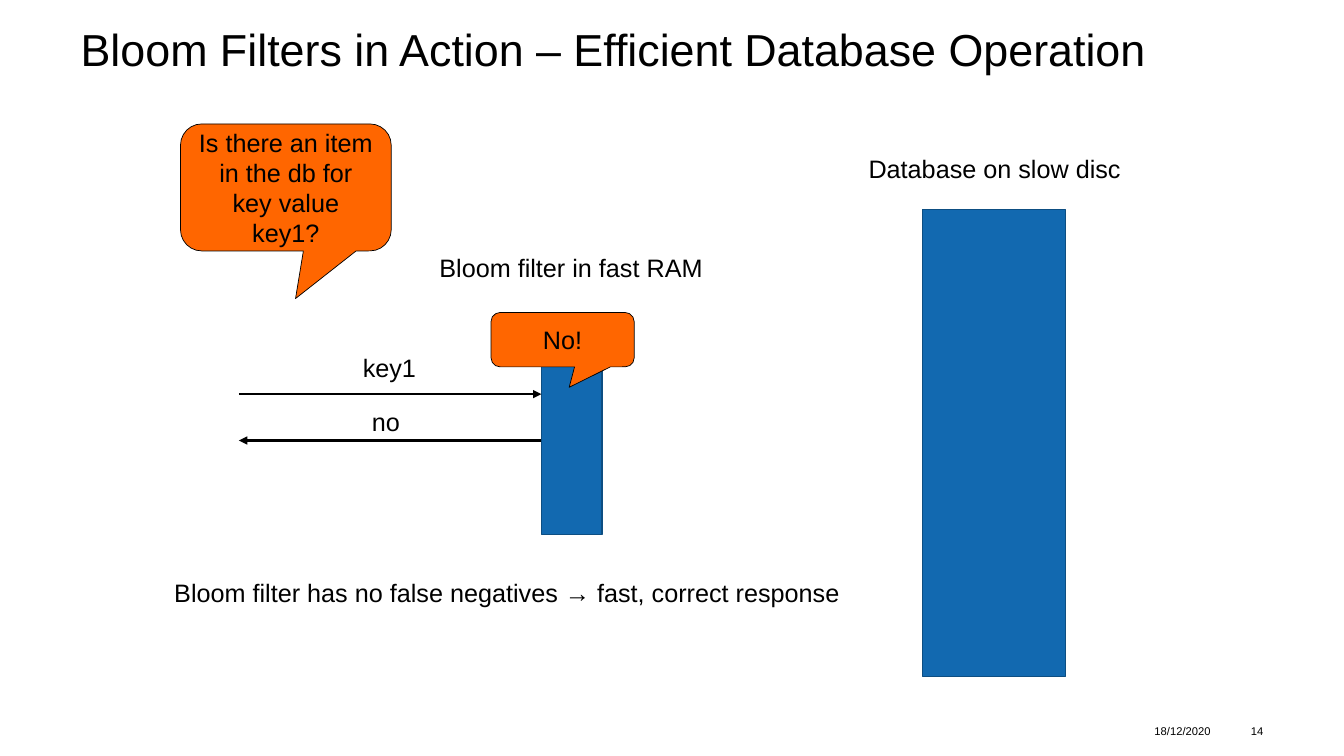
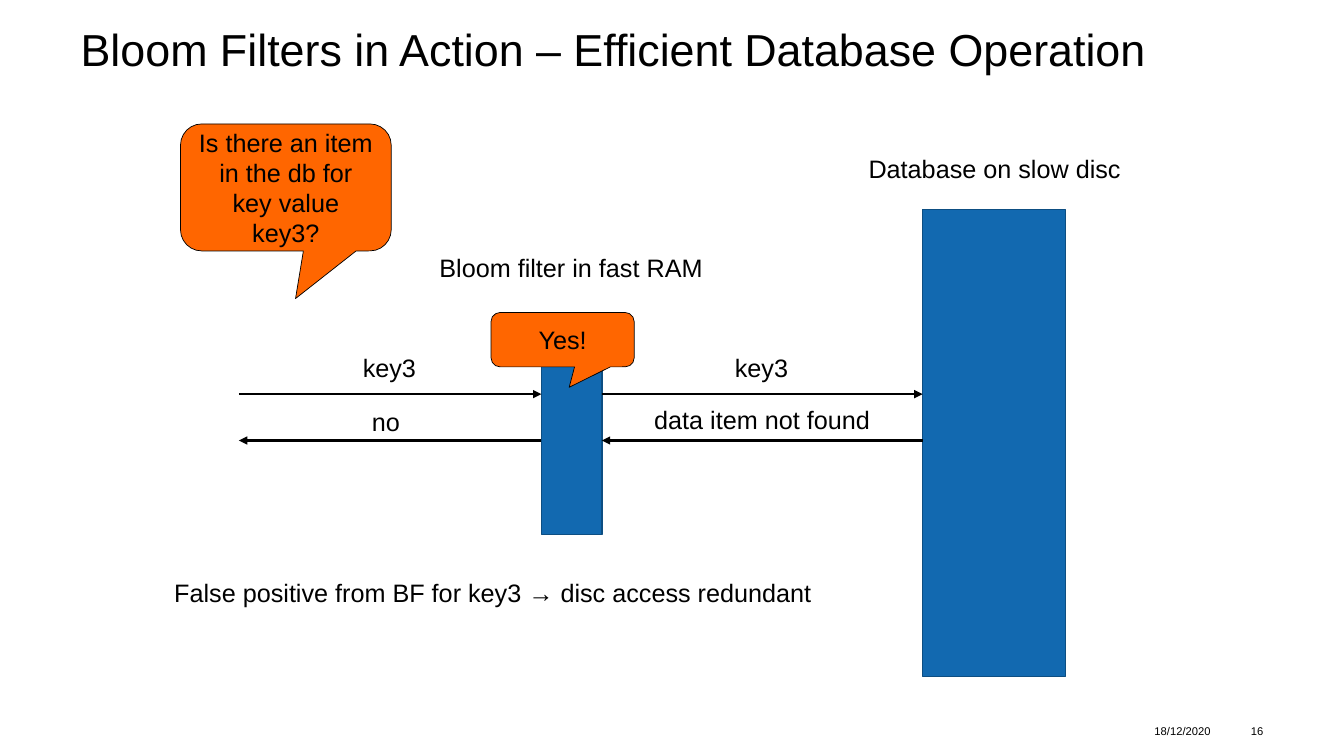
from pptx import Presentation
from pptx.dml.color import RGBColor
from pptx.enum.shapes import MSO_CONNECTOR, MSO_SHAPE
from pptx.enum.text import MSO_ANCHOR, PP_ALIGN
from pptx.oxml.ns import qn
from pptx.util import Inches, Pt
from lxml.etree import SubElement

BLACK = RGBColor(0x00, 0x00, 0x00)
BLUE = RGBColor(0x12, 0x69, 0xB0)
DARK_BLUE = RGBColor(0x0D, 0x4E, 0x82)
ORANGE = RGBColor(0xFF, 0x66, 0x00)
FONT = "Arial"
TITLE = "Bloom Filters in Action – Efficient Database Operation"
DATE = "18/12/2020"

# Horizontal stops and rows of the message flow
CLIENT, FILTER_LEFT, FILTER_RIGHT, DATABASE_LEFT = 2.37, 5.37, 5.97, 9.15
REQUEST, REPLY = 3.91, 4.37


class LectureDeck:
    """Holds the shared style and the slide being built."""

    def __init__(self):
        self.deck = Presentation()
        self.deck.slide_width = Inches(13.33)
        self.deck.slide_height = Inches(7.5)
        self.page = None

    def add_page(self, number):
        self.page = self.deck.slides.add_slide(self.deck.slide_layouts[6])
        title = self.text(TITLE, 0.8, 0.28, 11.73, 0.98, size=32, inset=0, wrap=True)
        title.text_frame.paragraphs[0].line_spacing = 0.9
        footer = dict(size=8, inset=0, anchor=MSO_ANCHOR.MIDDLE)
        self.text(DATE, 11.45, 7.13, 0.67, 0.24, **footer)
        self.text(str(number), 12.18, 7.13, 0.35, 0.24, align=PP_ALIGN.RIGHT, **footer)

    def set_text(self, box, words, size=18, align=PP_ALIGN.LEFT, wrap=False,
                 anchor=MSO_ANCHOR.TOP):
        frame = box.text_frame
        frame.word_wrap = wrap
        frame.vertical_anchor = anchor
        para = frame.paragraphs[0]
        para.text = words
        para.alignment = align
        para.font.name = FONT
        para.font.size = Pt(size)
        para.font.color.rgb = BLACK

    def text(self, words, left, top, width, height=0.4, inset=None, **style):
        box = self.page.shapes.add_textbox(
            Inches(left), Inches(top), Inches(width), Inches(height))
        if inset is not None:
            frame = box.text_frame
            frame.margin_left = frame.margin_right = Inches(inset)
            frame.margin_top = frame.margin_bottom = Inches(inset)
        self.set_text(box, words, **style)
        return box

    def shape(self, kind, left, top, width, height, fill, outline, weight):
        shape = self.page.shapes.add_shape(
            kind, Inches(left), Inches(top), Inches(width), Inches(height))
        shape.shadow.inherit = False
        shape.fill.solid()
        shape.fill.fore_color.rgb = fill
        shape.line.color.rgb = outline
        shape.line.width = Pt(weight)
        return shape

    def store(self, left, top, width, height):
        self.shape(MSO_SHAPE.RECTANGLE, left, top, width, height, BLUE, DARK_BLUE, 1)

    def callout(self, words, left, top, width, height):
        bubble = self.shape(MSO_SHAPE.ROUNDED_RECTANGULAR_CALLOUT,
                            left, top, width, height, ORANGE, BLACK, 0.5)
        for index, value in enumerate((0.046, 0.875, 0.167)):
            bubble.adjustments[index] = value
        self.set_text(bubble, words, align=PP_ALIGN.CENTER, wrap=True,
                      anchor=MSO_ANCHOR.MIDDLE)

    def arrow(self, start, end, height):
        arrow = self.page.shapes.add_connector(
            MSO_CONNECTOR.STRAIGHT, Inches(start), Inches(height),
            Inches(end), Inches(height))
        arrow.line.color.rgb = BLACK
        arrow.line.width = Pt(1.75)
        properties = arrow._element.spPr
        SubElement(properties.find(qn("a:ln")), qn("a:tailEnd"), type="triangle")
        SubElement(properties, qn("a:effectLst"))

    def lookup(self, number, key, answer, conclusion, conclusion_width):
        """The scene on every slide: client, filter, database and first exchange."""
        self.add_page(number)

        # Filter and database
        self.store(FILTER_LEFT, 3.11, FILTER_RIGHT - FILTER_LEFT, 2.19)
        self.store(DATABASE_LEFT, 2.08, 1.42, 4.63)
        self.text("Bloom filter in fast RAM", 4.26, 2.45, 2.84)
        self.text("Database on slow disc", 8.5, 1.47, 2.73, align=PP_ALIGN.CENTER)

        # Exchange between client and filter
        self.arrow(CLIENT, FILTER_LEFT, REQUEST)
        self.arrow(FILTER_LEFT, CLIENT, REPLY)
        self.text(key, 3.5, 3.45, 0.73)
        self.text("no", 3.59, 3.98, 0.48)

        # Question, answer and conclusion
        self.callout(f"Is there an item in the db for key value {key}?",
                     1.79, 1.23, 2.09, 1.26)
        self.callout(answer, 4.87, 3.1, 1.42, 0.54)
        self.text(conclusion, 1.63, 5.68, conclusion_width)

    def disc_access(self, key, result):
        """Exchange between filter and database."""
        self.arrow(FILTER_RIGHT, DATABASE_LEFT, REQUEST)
        self.arrow(DATABASE_LEFT, FILTER_RIGHT, REPLY)
        self.text(key, 7.19, 3.45, 0.73)
        self.text(result, 6.39, 3.96, 2.36)


def main():
    lecture = LectureDeck()

    # Key absent, filter says no
    lecture.lookup(14, "key1", "No!",
                   "Bloom filter has no false negatives → fast, correct response", 6.86)

    # Key absent, filter says yes
    lecture.lookup(16, "key3", "Yes!",
                   "False positive from BF for key3 → disc access redundant", 6.67)
    lecture.disc_access("key3", "data item not found")

    lecture.deck.save("out.pptx")


if __name__ == "__main__":
    main()
